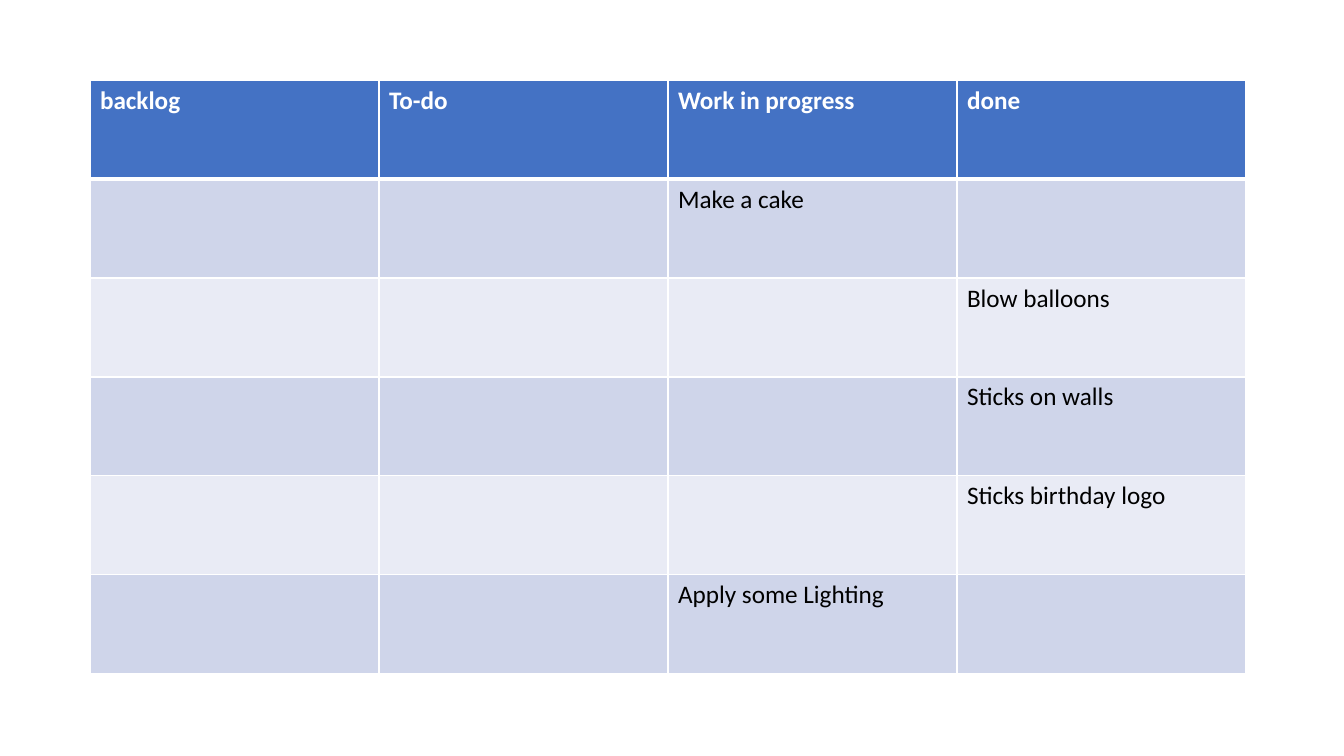
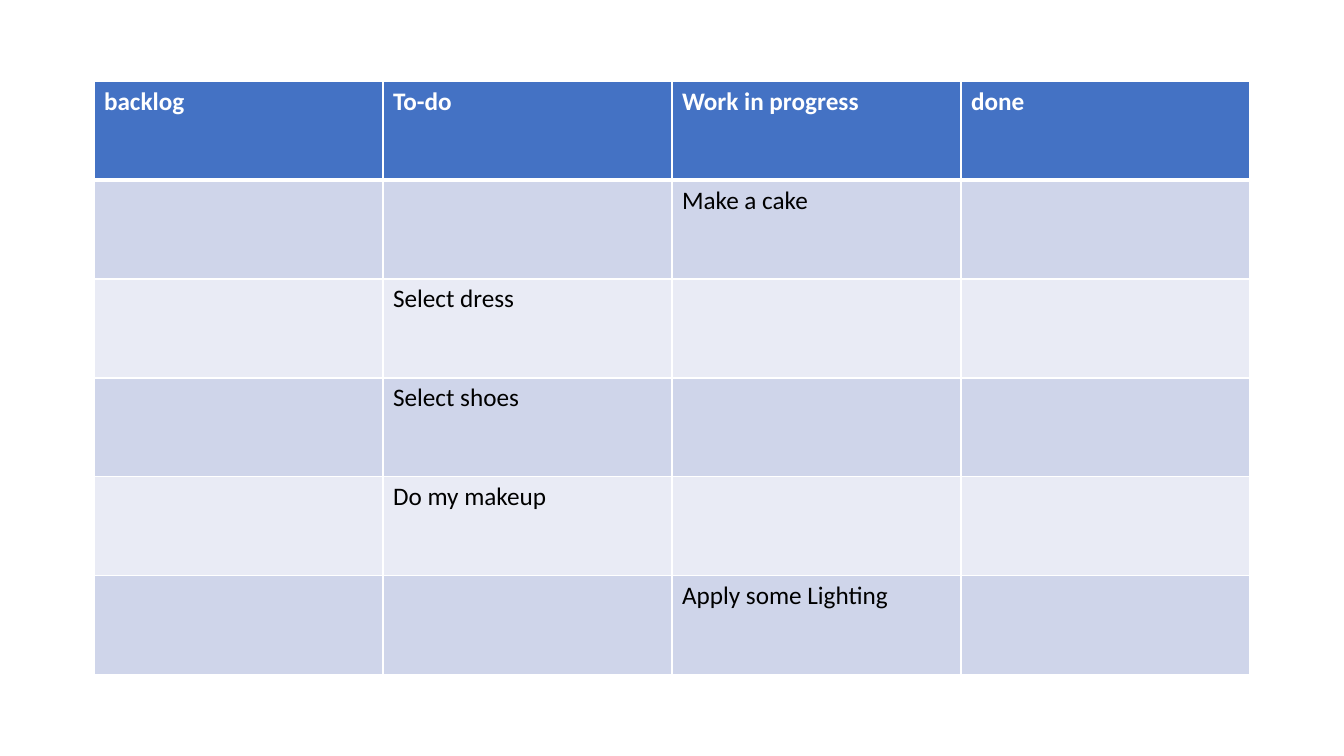
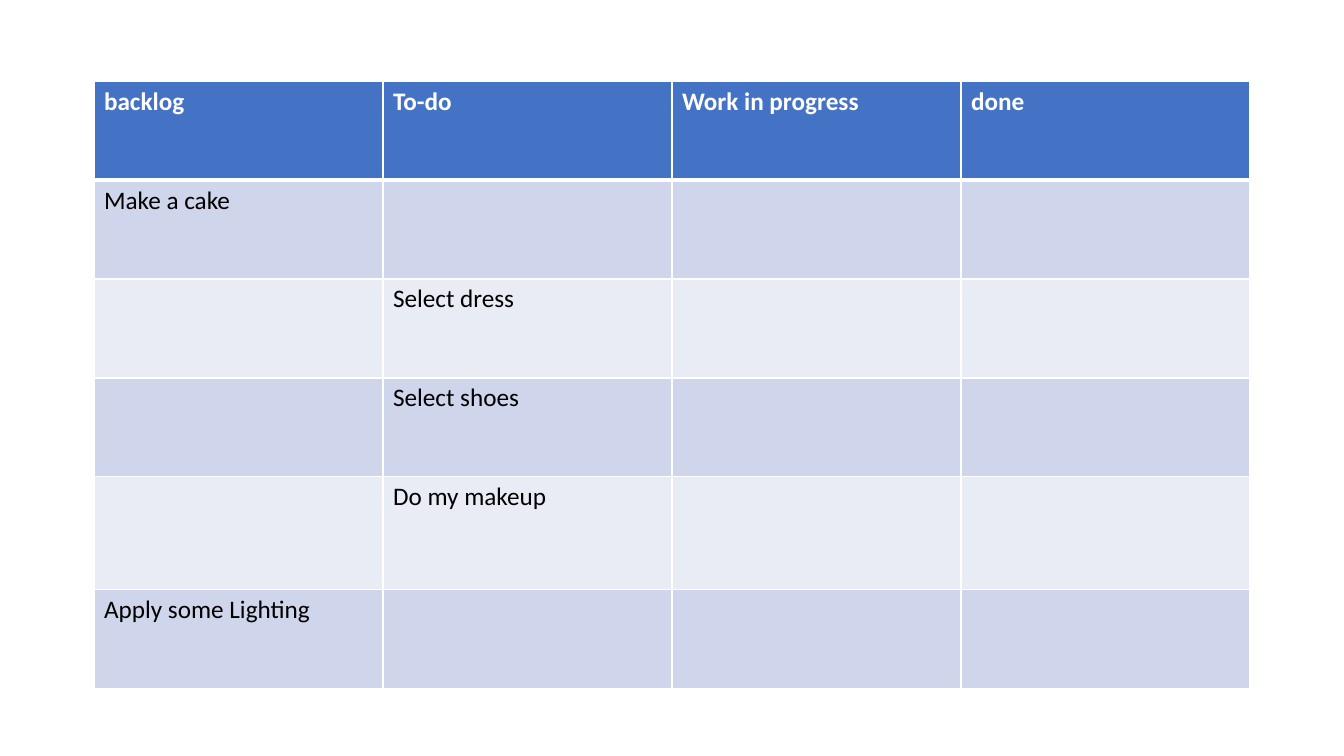
"""Builds three task boards, one table on each slide."""
import dataclasses

import lxml.etree
import pptx
import pptx.dml.color
import pptx.oxml.ns
import pptx.presentation
import pptx.table
import pptx.util

EMU_PER_PIXEL = 914400 / 100.8
PAGE_WIDTH, PAGE_HEIGHT = 1344, 756
COLUMN_WIDTH, ROW_HEIGHT = 289, 99
BLANK_LAYOUT = 6
FONT, FONT_SIZE = "Calibri", 18
THIN, THICK = 1, 3
COLOURS = {
    "header": "4472C4",
    "odd row": "CFD5EA",
    "even row": "E9EBF5",
    "rule": "FFFFFF",
    "header text": "FFFFFF",
    "task text": "000000",
}
STAGES = ("backlog", "To-do ", "Work in progress", "done")
BACKLOG, TO_DO, IN_PROGRESS, DONE = range(len(STAGES))


@dataclasses.dataclass(frozen=True)
class Task:
    name: str
    stage: int
    height: int = ROW_HEIGHT


@dataclasses.dataclass(frozen=True)
class Board:
    left: int
    top: int
    tasks: tuple[Task, ...]


BOARDS = (
    Board(90, 80, (
        Task("Make a cake", IN_PROGRESS),
        Task("Blow balloons", DONE),
        Task("Sticks on walls", DONE),
        Task("Sticks birthday logo", DONE),
        Task("Apply some Lighting", IN_PROGRESS),
    )),
    Board(94, 81, (
        Task("Make a cake", IN_PROGRESS),
        Task("Select dress", TO_DO),
        Task("Select shoes", TO_DO),
        Task("Do my makeup", TO_DO),
        Task("Apply some Lighting", IN_PROGRESS),
    )),
    Board(94, 81, (
        Task("Make a cake", BACKLOG),
        Task("Select dress", TO_DO),
        Task("Select shoes", TO_DO),
        Task("Do my makeup", TO_DO, height=113),
        Task("Apply some Lighting", BACKLOG),
    )),
)


def pixels(count: int) -> pptx.util.Emu:
    return pptx.util.Emu(round(count * EMU_PER_PIXEL))


def colour(name: str) -> pptx.dml.color.RGBColor:
    return pptx.dml.color.RGBColor.from_string(COLOURS[name])


def rule_cell(cell: pptx.table._Cell, top: int, bottom: int) -> None:
    properties = cell._tc.get_or_add_tcPr()
    for side, points in (("L", THIN), ("R", THIN), ("T", top), ("B", bottom)):
        line = lxml.etree.SubElement(
            properties, pptx.oxml.ns.qn(f"a:ln{side}"), w=str(pptx.util.Pt(points)))
        fill = lxml.etree.SubElement(line, pptx.oxml.ns.qn("a:solidFill"))
        lxml.etree.SubElement(
            fill, pptx.oxml.ns.qn("a:srgbClr"), val=COLOURS["rule"])


def write_cell(cell: pptx.table._Cell, text: str, is_header: bool) -> None:
    span = cell.text_frame.paragraphs[0].add_run()
    span.text = text
    span.font.name = FONT
    span.font.size = pptx.util.Pt(FONT_SIZE)
    span.font.bold = is_header
    span.font.color.rgb = colour("header text" if is_header else "task text")


def style_row(table: pptx.table.Table, row: int) -> None:
    fill_name = "header" if row == 0 else "odd row" if row % 2 else "even row"
    for column in range(len(STAGES)):
        cell = table.cell(row, column)
        rule_cell(cell, top=THICK if row == 1 else THIN,
                  bottom=THICK if row == 0 else THIN)
        cell.fill.solid()
        cell.fill.fore_color.rgb = colour(fill_name)


def add_board(deck: pptx.presentation.Presentation, board: Board) -> None:
    page = deck.slides.add_slide(deck.slide_layouts[BLANK_LAYOUT])
    heights = [ROW_HEIGHT, *(task.height for task in board.tasks)]
    table = page.shapes.add_table(
        len(heights), len(STAGES), pixels(board.left), pixels(board.top),
        pixels(COLUMN_WIDTH * len(STAGES)), pixels(sum(heights))).table
    for column, stage in enumerate(STAGES):
        table.columns[column].width = pixels(COLUMN_WIDTH)
        write_cell(table.cell(0, column), stage, is_header=True)
    for row, height in enumerate(heights):
        table.rows[row].height = pixels(height)
        style_row(table, row)
    for row, task in enumerate(board.tasks, start=1):
        write_cell(table.cell(row, task.stage), task.name, is_header=False)


def main() -> None:
    deck = pptx.Presentation()
    deck.slide_width = pixels(PAGE_WIDTH)
    deck.slide_height = pixels(PAGE_HEIGHT)
    for board in BOARDS:
        add_board(deck, board)
    deck.save("out.pptx")


main()
